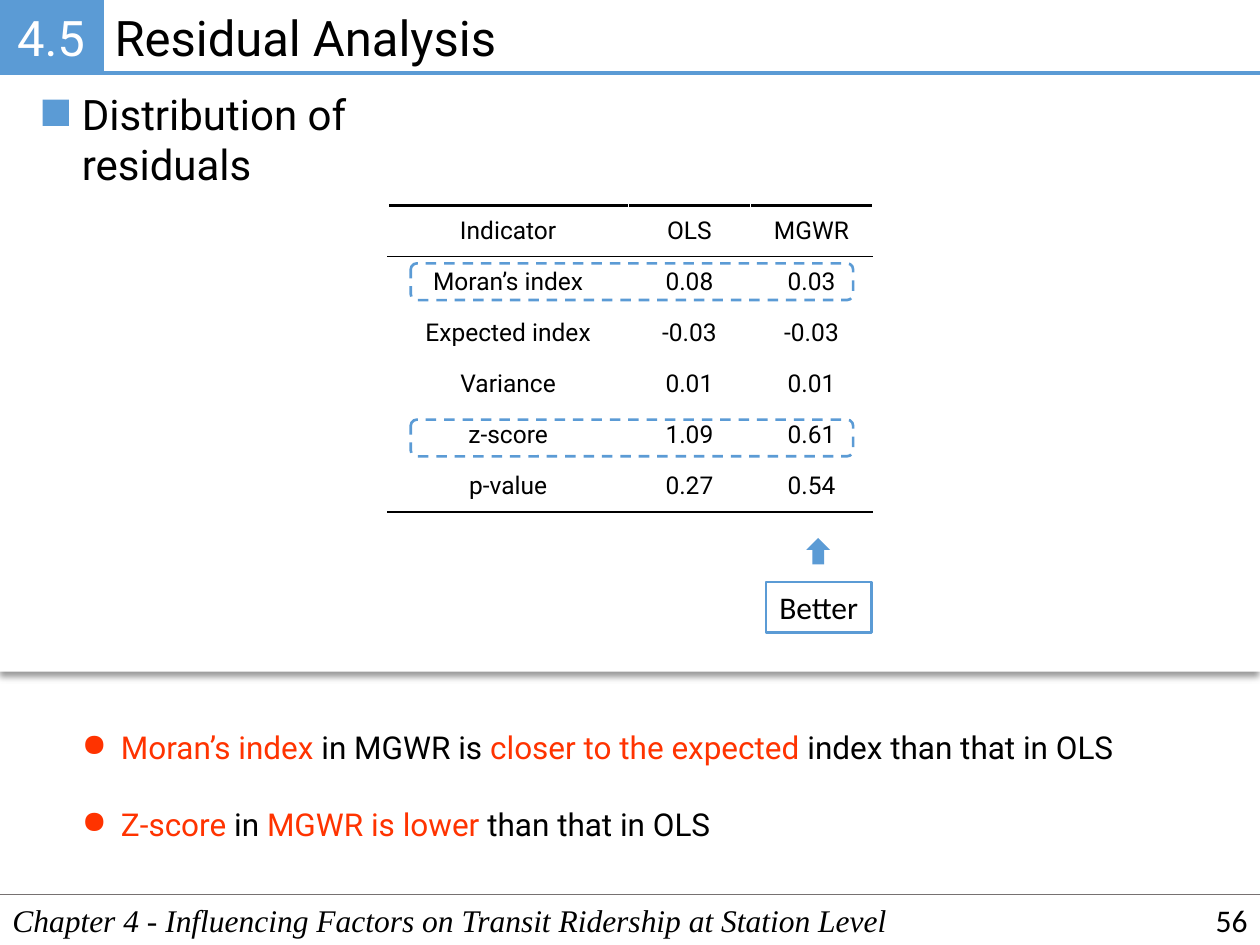
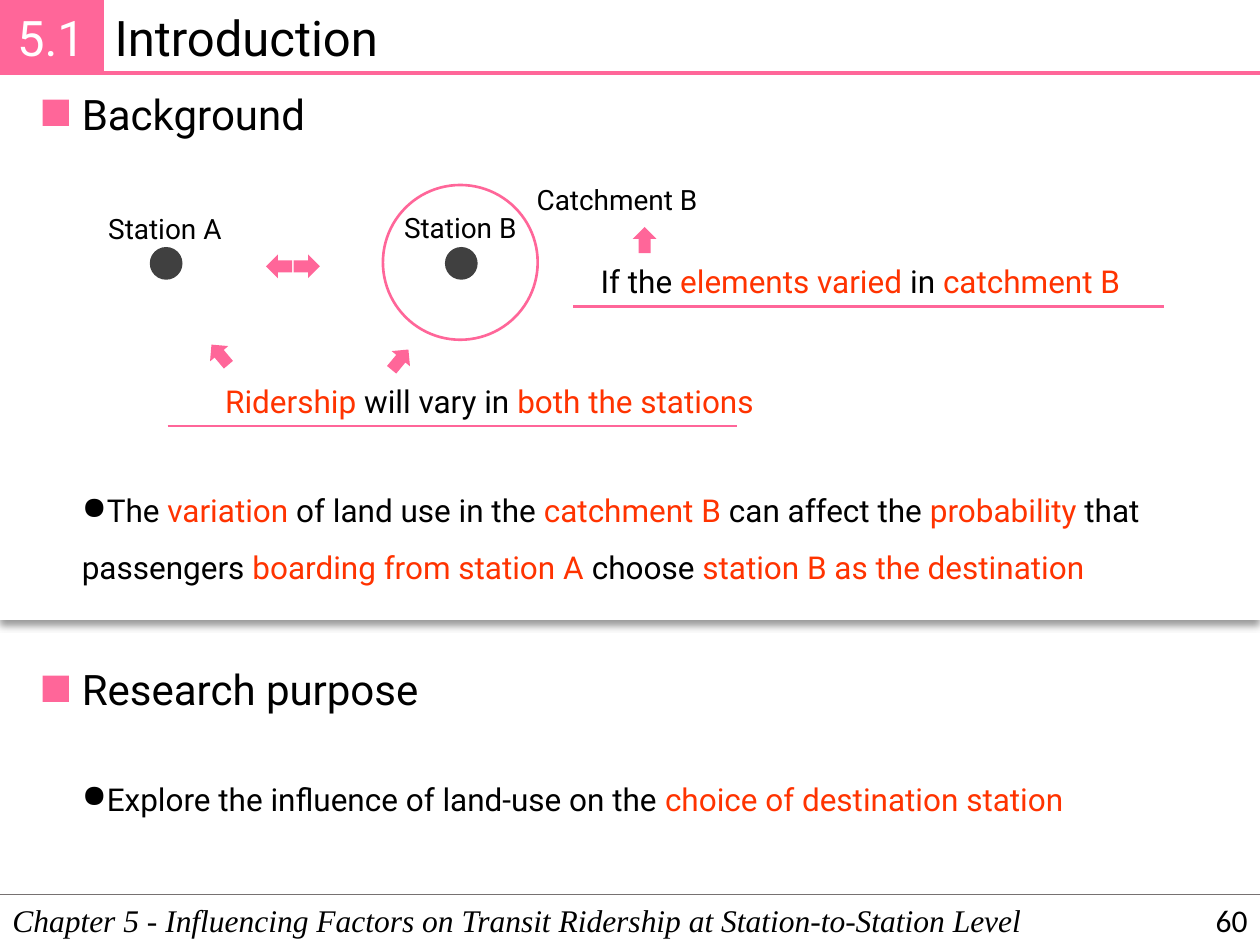
from lxml import etree
from pptx import Presentation
from pptx import util as u
from pptx.dml.color import RGBColor
from pptx.enum import dml, shapes, text
from pptx.oxml import parse_xml
from pptx.oxml.ns import nsdecls, qn

Cm, Pt = u.Cm, u.Pt
KIND = shapes.MSO_SHAPE
LEFT, CENTER, RIGHT = text.PP_ALIGN.LEFT, text.PP_ALIGN.CENTER, text.PP_ALIGN.RIGHT
MIDDLE = text.MSO_ANCHOR.MIDDLE
COLORS = {
    "blue": "5B9BD5", "pink": "FF6699", "highlight": "FF3300",
    "black": "000000", "white": "FFFFFF", "gray": "767171", "station": "404040",
}
WIDTH, HEIGHT = 25.4, 19.05
BODY_LEFT = 1.4
LINE_HEIGHT = 1.02


def rgb(name):
    return RGBColor.from_string(COLORS[name])


# ---- Basic elements ----
def write(paragraph, words, size, font="Roboto", color="black", italic=False):
    """Fill a paragraph; words between asterisks get the highlight colour."""
    for i, part in enumerate(words.split("*")):
        if part:
            run = paragraph.add_run()
            run.text = part
            run.font.size, run.font.name = Pt(size), font
            run.font.italic = italic
            run.font.color.rgb = rgb("highlight" if i % 2 else color)


def add_label(parent, box, words, size, align=LEFT, wrap=True, **style):
    label = parent.add_textbox(*map(Cm, box))
    frame = label.text_frame
    frame.word_wrap = wrap
    frame.paragraphs[0].alignment = align
    write(frame.paragraphs[0], words, size, **style)
    return label


def add_block(parent, kind, box, fill=None, line=None, weight=1.5):
    block = parent.add_shape(kind, *map(Cm, box))
    block.shadow.inherit = False
    if fill:
        block.fill.solid()
        block.fill.fore_color.rgb = rgb(fill)
    else:
        block.fill.background()
    if line:
        block.line.color.rgb = rgb(line)
        block.line.width = Pt(weight)
    else:
        block.line.fill.background()
    return block


def add_rule(parent, left, right, y, color, weight):
    rule = parent.add_connector(
        shapes.MSO_CONNECTOR.STRAIGHT, Cm(left), Cm(y), Cm(right), Cm(y))
    rule.line.color.rgb = rgb(color)
    rule.line.width = Pt(weight)
    etree.SubElement(rule._element.spPr, qn("a:effectLst"))


def add_arrow(parent, left, top, color, angle):
    arrow = add_block(parent, KIND.RIGHT_ARROW, (left, top, 0.53, 0.48), color)
    arrow.rotation = angle


# ---- Slide parts ----
def add_panel(slide, height):
    panel = add_block(slide.shapes, KIND.RECTANGLE, (0, 1.5, WIDTH, height), "white")
    effects = panel._element.spPr.find(qn("a:effectLst"))
    effects.append(parse_xml(
        f'<a:outerShdw {nsdecls("a")} blurRad="{Pt(4)}" dist="{Pt(3)}" dir="5400000" '
        f'algn="t" rotWithShape="0"><a:srgbClr val="{COLORS["black"]}">'
        '<a:alpha val="40000"/></a:srgbClr></a:outerShdw>'))


def add_frame(deck, accent, section, title, chapter, page, panel_height):
    """Start a slide with its panel, title band and footer."""
    slide = deck.slides.add_slide(deck.slide_layouts[6])
    parent = slide.shapes
    add_panel(slide, panel_height)

    add_label(parent, (2.06, 0.02, 23.34, 1.45), title, 28)
    badge = add_block(parent, KIND.RECTANGLE, (0, 0, 2.06, 1.47), accent, accent, 2.25)
    frame = badge.text_frame
    frame.margin_left = frame.margin_right = Cm(0.15)
    frame.margin_top = frame.margin_bottom = Cm(0.15)
    frame.vertical_anchor = MIDDLE
    frame.paragraphs[0].alignment = CENTER
    write(frame.paragraphs[0], section, 28, color="white")
    add_rule(parent, 2.06, WIDTH, 1.47, accent, 2.25)

    footer_top = 18.03
    add_rule(parent, 0, WIDTH, footer_top, "gray", 1)
    add_label(parent, (0, footer_top, WIDTH, LINE_HEIGHT), chapter, 18,
              font="Times New Roman", italic=True)
    number = add_label(parent, (19.69, footer_top, 5.71, LINE_HEIGHT), page, 18,
                       RIGHT, font="Calibri")
    number.text_frame.vertical_anchor = MIDDLE
    return slide


def add_heading(slide, top, width, words, accent):
    group = slide.shapes.add_group_shape().shapes
    add_block(group, KIND.RECTANGLE, (0.86, top + 0.36, 0.53, 0.53), accent)
    return add_label(group, (BODY_LEFT, top, width, 1.27), words, 24)


def add_bullet(slide, top, words, width=22.35, height=LINE_HEIGHT, margin=0.0, spacing=None):
    point = add_label(slide.shapes, (BODY_LEFT, top, width, height), words, 18)
    paragraph = point.text_frame.paragraphs[0]
    if spacing:
        paragraph.line_spacing = spacing
    props = paragraph._p.get_or_add_pPr()
    props.set("marL", str(Cm(margin)))
    props.set("indent", str(-Cm(0.79)))
    etree.SubElement(props, qn("a:buChar")).set("char", "●")


def add_border(cell, side, weight):
    cell._tc.get_or_add_tcPr().append(parse_xml(
        f'<a:{side} {nsdecls("a")} w="{Pt(weight)}"><a:solidFill>'
        f'<a:srgbClr val="{COLORS["black"]}"/></a:solidFill></a:{side}>'))


def add_indicator_table(slide, rows):
    widths, row_height = (4.85, 2.46, 2.46), 1.03
    table = slide.shapes.add_table(
        len(rows), len(widths), Cm(7.82), Cm(4.14),
        Cm(sum(widths)), Cm(row_height * len(rows))).table
    table.first_row = table.horz_banding = False
    for column, width in zip(table.columns, widths):
        column.width = Cm(width)
    top_rules = {0: 1.5, 1: 1}
    bottom_rules = {0: 1, len(rows) - 1: 1.5}
    for r, values in enumerate(rows):
        table.rows[r].height = Cm(row_height)
        for c, value in enumerate(values):
            cell = table.cell(r, c)
            if r in top_rules:
                add_border(cell, "lnT", top_rules[r])
            if r in bottom_rules:
                add_border(cell, "lnB", bottom_rules[r])
            cell.fill.background()
            cell.margin_left = cell.margin_right = Cm(0.2)
            cell.margin_top = cell.margin_bottom = 0
            cell.vertical_anchor = MIDDLE
            paragraph = cell.text_frame.paragraphs[0]
            paragraph.alignment = CENTER
            write(paragraph, value, 14)


def add_station_diagram(slide, accent):
    group = slide.shapes.add_group_shape().shapes
    # Stations and the catchment
    add_block(group, KIND.OVAL, (7.72, 3.73, 3.12, 3.12), line=accent)
    for dot_left in (3.02, 8.97):
        add_block(group, KIND.OVAL, (dot_left, 4.98, 0.66, 0.66), "station")
    add_label(group, (10.57, 3.56, 3.78, 0.94), "Catchment B", 16)
    add_label(group, (1.93, 4.14, 2.79, 0.94), "Station A", 16, CENTER, wrap=False)
    add_label(group, (7.87, 4.11, 2.82, 0.94), "Station B", 16, CENTER, wrap=False)

    # Underlined statements
    for left, top, words, rule_left, rule_right in (
            (4.29, 7.57, "*Ridership* will vary in *both the stations*", 3.38, 14.86),
            (11.86, 5.16, "If the *elements varied* in *catchment B*", 11.56, 23.47)):
        add_label(group, (left, top, 12.19, LINE_HEIGHT), words, 18)
        add_rule(group, rule_left, rule_right, top + LINE_HEIGHT, accent, 1.5)

    # Arrows: between the stations, then from the statements
    for left, top, angle in ((5.36, 5.13, 180), (5.92, 5.13, 0), (7.8, 7.01, 309.7),
                             (4.17, 6.91, 229.9), (12.73, 4.6, 270)):
        add_arrow(group, left, top, accent, angle)


# ---- Slides ----
def residual_slide(deck):
    accent = "blue"
    slide = add_frame(
        deck, accent, "4.5", "Residual Analysis",
        "Chapter 4 - Influencing Factors on Transit Ridership at Station Level", "56", 12.04)
    add_bullet(slide, 16.1, "*Z-score* in *MGWR is lower* than that in OLS", margin=0.79)
    add_bullet(slide, 14.55, "*Moran’s index* in MGWR is *closer to the expected* "
               "index than that in OLS", margin=0.79)
    add_indicator_table(slide, [
        ("Indicator", "OLS", "MGWR"),
        ("Moran’s index", "0.08", "0.03"),
        ("Expected index", "-0.03", "-0.03"),
        ("Variance", "0.01", "0.01"),
        ("z-score", "1.09", "0.61"),
        ("p-value", "0.27", "0.54"),
    ])
    for top in (5.31, 8.46):
        marked_row = add_block(slide.shapes, KIND.ROUNDED_RECTANGLE,
                               (8.28, top, 8.92, 0.74), line=accent)
        marked_row.line.dash_style = dml.MSO_LINE.DASH
    heading = add_heading(slide, 1.65, 9.4, "Distribution of residuals", accent)
    heading.text_frame.margin_right = Cm(2.5)

    # Verdict under the MGWR column
    verdict = add_block(slide.shapes, KIND.RECTANGLE, (15.44, 11.73, 2.13, 1.02), line=accent)
    verdict.text_frame.word_wrap = False
    verdict.text_frame.paragraphs[0].alignment = CENTER
    write(verdict.text_frame.paragraphs[0], "Better", 18, font="Calibri")
    add_arrow(slide.shapes, 16.23, 10.87, accent, 270)


def introduction_slide(deck):
    accent = "pink"
    slide = add_frame(
        deck, accent, "5.1", "Introduction",
        "Chapter 5 - Influencing Factors on Transit Ridership at Station-to-Station Level",
        "60", 11)
    add_heading(slide, 1.65, 5.08, "Background", accent)
    add_heading(slide, 13.26, 7.52, "Research purpose", accent)
    add_bullet(slide, 15.21, "Explore the influence of land-use on the "
               "*choice of destination station*", height=1.27, spacing=1.5)
    add_bullet(slide, 9.4, "The *variation* of land use in the *catchment B* can affect the "
               "*probability* that passengers *boarding from station A* choose "
               "*station B as the destination*", height=2.41, spacing=1.5)
    add_station_diagram(slide, accent)


def main():
    deck = Presentation()
    deck.slide_width, deck.slide_height = Cm(WIDTH), Cm(HEIGHT)
    residual_slide(deck)
    introduction_slide(deck)
    deck.save("out.pptx")


if __name__ == "__main__":
    main()
